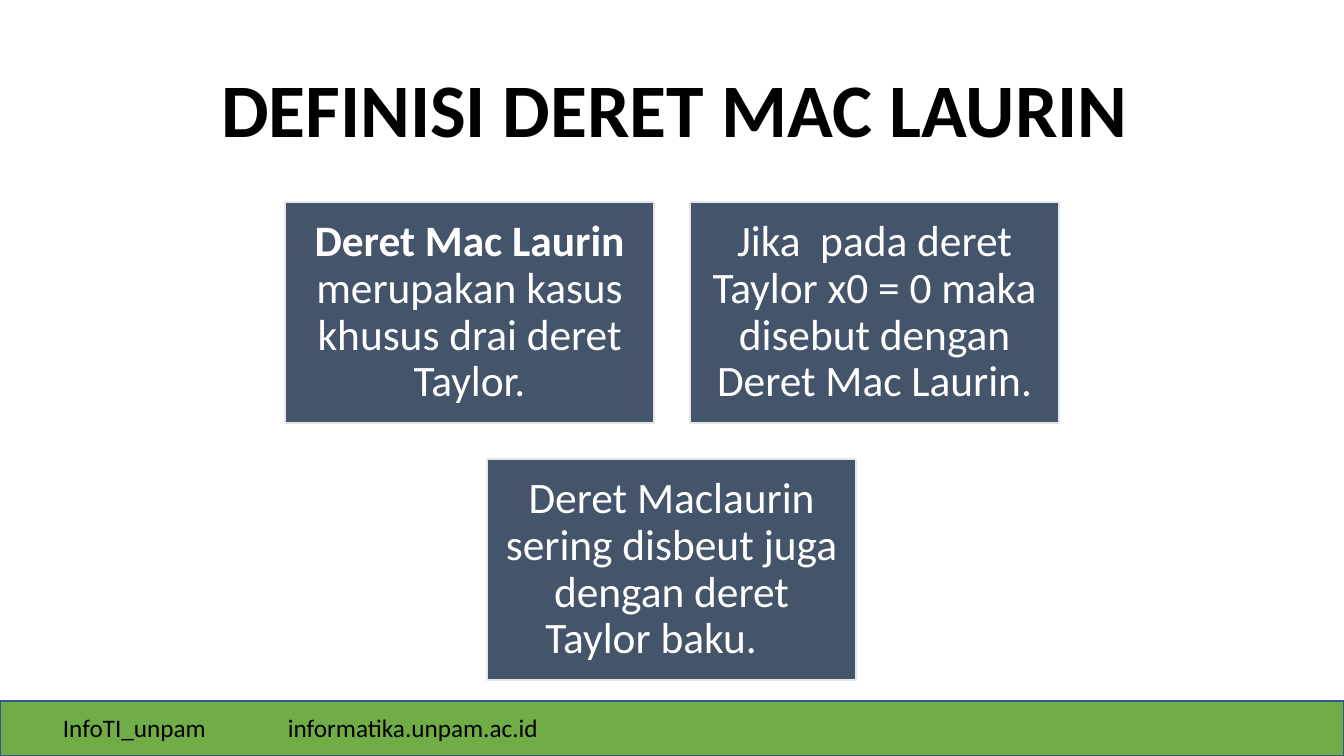
from pptx import Presentation
from pptx.dml.color import RGBColor
from pptx.enum.shapes import MSO_SHAPE as SHAPE
from pptx.enum.text import MSO_ANCHOR as ANCHOR, MSO_AUTO_SIZE as FIT, PP_ALIGN as ALIGN
from pptx.util import Emu, Pt

BLACK = RGBColor(0x00, 0x00, 0x00)
WHITE = RGBColor(0xFF, 0xFF, 0xFF)
SLATE = RGBColor(0x44, 0x54, 0x6A)
PALE = RGBColor(0xE7, 0xE6, 0xE6)
GREEN = RGBColor(0x70, 0xAD, 0x47)
BLUE = RGBColor(0x32, 0x54, 0x91)

WIDTH, HEIGHT = 1344, 756
CARD_W, CARD_H, GAP, CARDS_TOP = 369, 221, 36, 202
TITLE_ONLY = 5

# Each card is a list of (text, bold) runs.
CARD_ROWS = [
    [
        [("Deret Mac Laurin ", True),
         ("merupakan kasus khusus drai deret Taylor.", False)],
        [("Jika  pada deret Taylor x0 = 0 maka disebut dengan Deret Mac Laurin.", False)],
    ],
    [
        [("Deret Maclaurin sering disbeut juga dengan deret Taylor baku. \t", False)],
    ],
]


def px(n):
    return Emu(round(n * 914400 / 100.8))


class Deck:
    font = "Calibri"

    def __init__(self):
        self.prs = Presentation()
        self.prs.slide_width, self.prs.slide_height = px(WIDTH), px(HEIGHT)
        self.s = self.prs.slides.add_slide(self.prs.slide_layouts[TITLE_ONLY])

    def add_runs(self, tf, runs, size, color, align=ALIGN.LEFT, spacing=1.0):
        """Fill the first paragraph with (text, bold) runs."""
        tf.word_wrap = True
        p = tf.paragraphs[0]
        p.alignment, p.line_spacing = align, spacing
        for text, bold in runs:
            r = p.add_run()
            r.text = text
            r.font.name, r.font.size, r.font.bold = self.font, Pt(size), bold
            r.font.color.rgb = color

    def title(self, text, x, y, w, h):
        sp = self.s.shapes.title
        sp.left, sp.top, sp.width, sp.height = map(px, (x, y, w, h))
        tf = sp.text_frame
        tf.auto_size, tf.vertical_anchor = FIT.NONE, ANCHOR.MIDDLE
        self.add_runs(tf, [(text, True)], 54, BLACK, spacing=0.9)

    def box(self, shape, x, y, w, h, fill, line, weight):
        sp = self.s.shapes.add_shape(shape, *map(px, (x, y, w, h)))
        sp.shadow.inherit = False
        sp.fill.solid()
        sp.fill.fore_color.rgb = fill
        sp.line.color.rgb, sp.line.width = line, Pt(weight)
        return sp

    def card(self, runs, x, y):
        tf = self.box(SHAPE.RECTANGLE, x, y, CARD_W, CARD_H, SLATE, PALE, 1.5).text_frame
        tf.vertical_anchor = ANCHOR.MIDDLE
        tf.margin_left = tf.margin_right = tf.margin_top = tf.margin_bottom = px(13)
        self.add_runs(tf, runs, 31, WHITE, ALIGN.CENTER, 0.9)

    def label(self, text, x, y, w, h):
        tf = self.s.shapes.add_textbox(*map(px, (x, y, w, h))).text_frame
        self.add_runs(tf, [(text, False)], 18, BLACK)


def main():
    deck = Deck()
    deck.box(SHAPE.FLOWCHART_PROCESS, 0, 701, WIDTH, 55, GREEN, BLUE, 1)
    deck.label("InfoTI_unpam", 53, 707, 198, 40)
    deck.label("informatika.unpam.ac.id", 278, 707, 297, 40)
    deck.title("DEFINISI DERET MAC LAURIN", 211, 40, 1040, 146)

    for i, cards in enumerate(CARD_ROWS):
        row_w = len(cards) * (CARD_W + GAP) - GAP
        left = (WIDTH - row_w) // 2
        for j, runs in enumerate(cards):
            deck.card(runs, left + j * (CARD_W + GAP), CARDS_TOP + i * (CARD_H + GAP))

    deck.prs.save("out.pptx")


if __name__ == "__main__":
    main()
